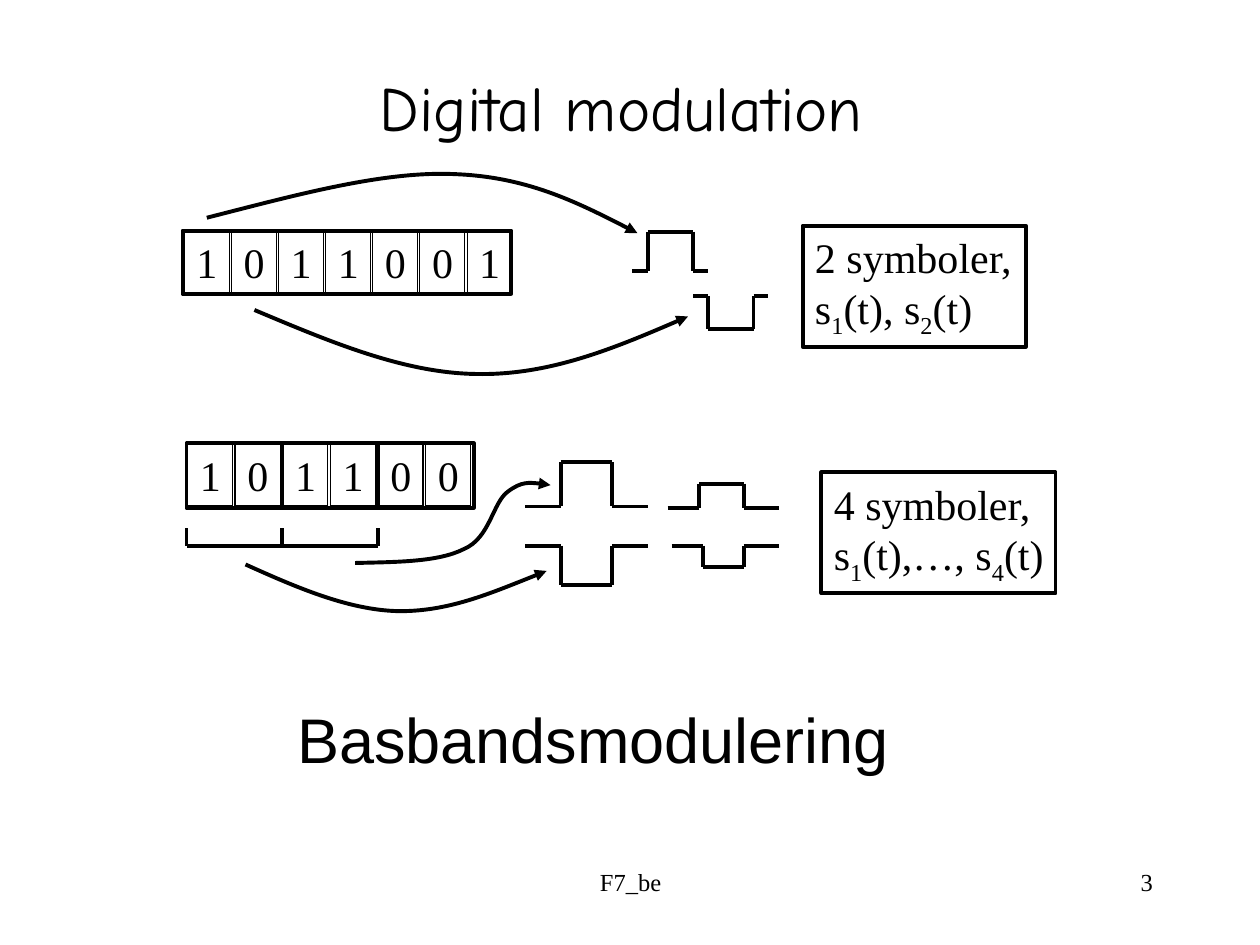
from lxml import etree
from pptx import Presentation
from pptx.dml.color import RGBColor
from pptx.enum import shapes, text
from pptx.oxml import ns
from pptx.util import Cm, Pt

INK = RGBColor.from_string("000000")
SERIF = "Times New Roman"


def outline(shape, width):
    """Give a shape or connector a plain line, without fill or shadow."""
    if hasattr(shape, "fill"):
        shape.fill.background()
    shape.line.color.rgb = INK
    shape.line.width = Pt(width)
    etree.SubElement(shape._element.spPr, ns.qn("a:effectLst"))


def write(shape, lines, size, font=SERIF, align=text.PP_ALIGN.LEFT, wrap=False,
          anchor=text.MSO_ANCHOR.TOP):
    """Fill a shape with lines; every second part of a line split at ~ is a subscript."""
    frame = shape.text_frame
    frame.word_wrap = wrap
    frame.vertical_anchor = anchor
    frame.text = "\n".join(lines)
    for paragraph, line in zip(frame.paragraphs, lines):
        paragraph.alignment = align
        parts = line.split("~")
        paragraph.runs[0].text = parts[0]
        for part in parts[1:]:
            paragraph.add_run().text = part
        for index, run in enumerate(paragraph.runs):
            run.font.size = Pt(size)
            run.font.name = font
            run.font.color.rgb = INK
            if index % 2:
                run.font._element.set("baseline", "-25000")


presentation = Presentation()
presentation.slide_width, presentation.slide_height = Cm(25.4), Cm(19.05)
slide = presentation.slides.add_slide(presentation.slide_layouts[5])
RECTANGLE = shapes.MSO_SHAPE.RECTANGLE

title = slide.shapes.title
title.left, title.top, title.width, title.height = Cm(1.73), Cm(0.84), Cm(21.59), Cm(2.59)
write(title, ["Digital modulation"], 36, "Comic Neue", text.PP_ALIGN.CENTER, True,
      text.MSO_ANCHOR.MIDDLE)

# Bit cells: bits, left, top, pitch, line width
for bits, left, top, pitch, width in [
    ("1011001", 3.71, 4.65, 0.95, 0.25),
    ("101100", 3.78, 8.93, 0.96, 0.75),
]:
    for index, bit in enumerate(bits):
        cell = slide.shapes.add_shape(
            RECTANGLE, Cm(left + index * pitch), Cm(top), Cm(0.91), Cm(1.27))
        outline(cell, width)
        write(cell, [bit], 24)

# Heavy frames: all seven bits above, pairs of bits below
PAIR_LEFT, PAIR_WIDTH = 3.76, 1.93
frames = [(3.68, 4.65, 6.63, 1.27)]
frames += [(PAIR_LEFT + pair * PAIR_WIDTH, 8.94, PAIR_WIDTH, 1.3) for pair in range(3)]
for box in frames:
    outline(slide.shapes.add_shape(RECTANGLE, *map(Cm, box)), 2.25)

# Symbol boxes
for box, lines in [
    ((16.18, 4.55, 4.5, 2.44), ["2 symboler,", "s~1~(t), s~2~(t)"]),
    ((16.56, 9.52, 4.72, 2.44), ["4 symboler,", "s~1~(t),…, s~4~(t)"]),
]:
    symbols = slide.shapes.add_shape(RECTANGLE, *map(Cm, box))
    outline(symbols, 2.25)
    write(symbols, lines, 24)

# Pulses: start, rise, fall, end, base level, peak level
polylines = []
for start, rise, fall, end, base, peak in [
    (12.75, 13.06, 13.97, 14.27, 5.46, 4.67),
    (13.97, 14.27, 15.19, 15.49, 5.97, 6.63),
    (10.59, 11.3, 12.34, 13.06, 10.21, 9.32),
    (13.46, 14.1, 14.99, 15.7, 10.24, 9.75),
    (10.59, 11.3, 12.34, 13.06, 11, 11.79),
    (13.54, 14.17, 14.99, 15.7, 11, 11.43),
]:
    polylines.append([(start, base), (rise, base), (rise, peak),
                      (fall, peak), (fall, base), (end, base)])

# Bracket under the first two pairs
bracket_x = [PAIR_LEFT + pair * PAIR_WIDTH for pair in range(3)]
polylines += [[(x, 11), (x, 10.64)] for x in bracket_x]
polylines += [[(x, 11) for x in bracket_x]]

for points in polylines:
    for begin, end in zip(points, points[1:]):
        segment = slide.shapes.add_connector(
            shapes.MSO_CONNECTOR.STRAIGHT, *map(Cm, begin + end))
        outline(segment, 2.25)

# Curved arrows: start, then two control points and an end for each curve
for start, *controls in [
    [(4.17, 4.39), (5.94, 3.94), (7.7, 3.45), (9.14, 3.51),
     (10.59, 3.56), (11.71, 4.11), (12.85, 4.7)],
    [(5.13, 6.25), (6.63, 6.88), (8.13, 7.52), (9.6, 7.54),
     (11.05, 7.57), (12.47, 6.99), (13.87, 6.38)],
    [(4.95, 11.38), (5.97, 11.84), (7.01, 12.29), (8, 12.32),
     (9.02, 12.34), (10.01, 11.91), (11.02, 11.51)],
    [(7.16, 11.35), (8, 11.33), (8.84, 11.33), (9.35, 11.07),
     (9.88, 10.85), (9.93, 10.13), (10.24, 9.91),
     (10.52, 9.7), (10.82, 9.73), (11.1, 9.78)],
]:
    builder = slide.shapes.build_freeform(Cm(start[0]), Cm(start[1]))
    builder.add_line_segments([(Cm(x), Cm(y)) for x, y in controls], close=False)
    arrow = builder.convert_to_shape()
    outline(arrow, 2.25)
    # Join every three straight steps into one cubic curve
    steps = list(arrow._element.iter(ns.qn("a:lnTo")))
    for first in range(0, len(steps), 3):
        curve = etree.Element(ns.qn("a:cubicBezTo"))
        steps[first].addprevious(curve)
        for step in steps[first:first + 3]:
            curve.append(step[0])
            step.getparent().remove(step)
    etree.SubElement(arrow.line._get_or_add_ln(), ns.qn("a:tailEnd"), type="triangle")

# Caption and footer
for box, words, size, font, align, wrap in [
    ((5.74, 14, 12.45, 1.78), "Basbandsmodulering", 36, "Arial", text.PP_ALIGN.LEFT, False),
    ((8.69, 17.35, 8.05, 1.27), "F7_be", 14, SERIF, text.PP_ALIGN.CENTER, True),
    ((18.21, 17.35, 5.28, 1.27), "3", 14, SERIF, text.PP_ALIGN.RIGHT, True),
]:
    write(slide.shapes.add_textbox(*map(Cm, box)), [words], size, font, align, wrap)

presentation.save("out.pptx")
